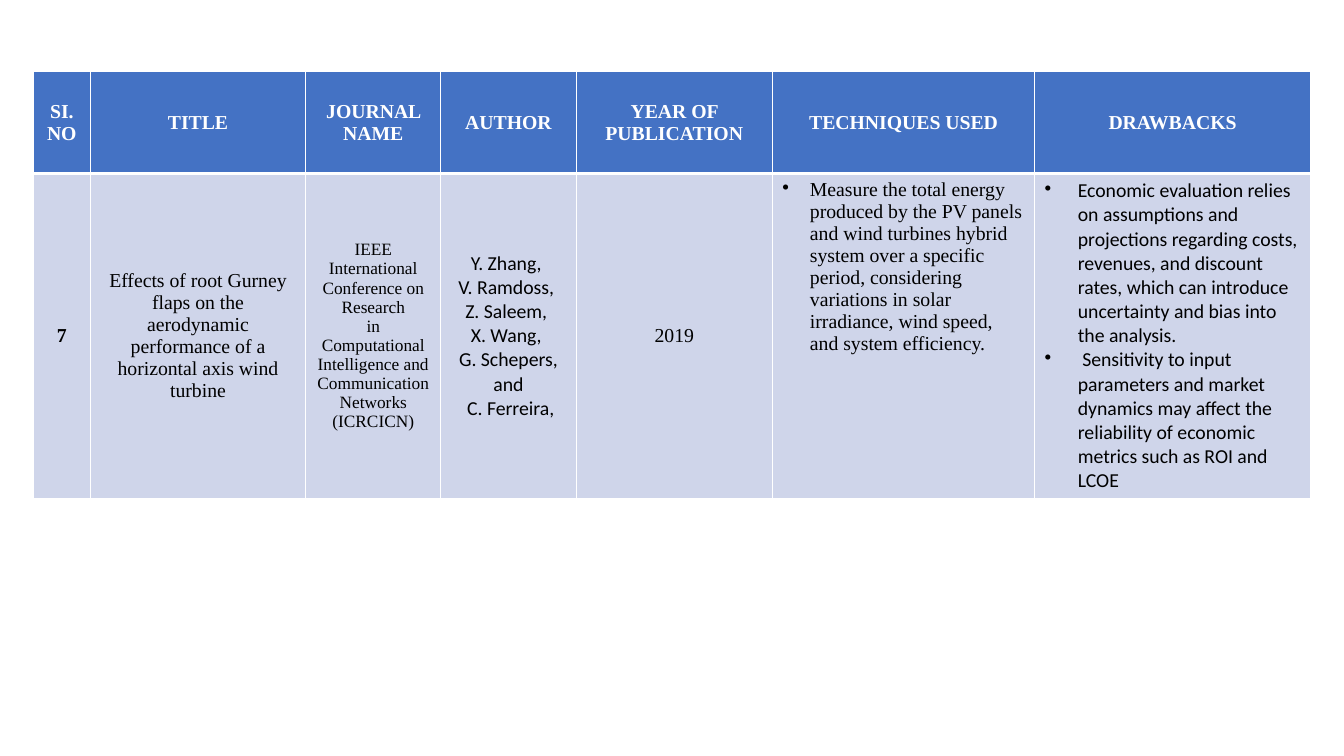
from dataclasses import dataclass

import pptx
import pptx.dml.color
import pptx.enum.text
import pptx.oxml
import pptx.oxml.ns
import pptx.util
from pptx.util import Cm


@dataclass(frozen=True)
class Theme:
    header_fill: str = "4472C4"
    body_fill: str = "CFD5EA"
    border: str = "FFFFFF"
    header_text: str = "FFFFFF"
    body_text: str = "000000"
    serif: str = "Times New Roman"
    sans: str = "Calibri"
    normal: int = 16
    small: int = 14
    thin: int = 1
    thick: int = 3


theme = Theme()


def fill_cell(cell, lines, fill, color, font=theme.serif, size=theme.normal,
              bold=False, indent=None, thick_edge="lnB"):
    """Format one table cell; an indent in cm turns its lines into a bulleted list."""
    cell.margin_left = cell.margin_right = Cm(0.28)
    cell.margin_top = cell.margin_bottom = Cm(0.15)
    anchor = pptx.enum.text.MSO_ANCHOR
    cell.vertical_anchor = anchor.TOP if indent else anchor.MIDDLE

    properties = cell._tc.get_or_add_tcPr()
    for edge in ("lnL", "lnR", "lnT", "lnB"):
        width = pptx.util.Pt(theme.thick if edge == thick_edge else theme.thin)
        properties.append(pptx.oxml.parse_xml(
            f'<a:{edge} {pptx.oxml.ns.nsdecls("a")} w="{width}"><a:solidFill>'
            f'<a:srgbClr val="{theme.border}"/></a:solidFill></a:{edge}>'))
    cell.fill.solid()
    cell.fill.fore_color.rgb = pptx.dml.color.RGBColor.from_string(fill)

    cell.text_frame.text = "\n".join(lines)
    for paragraph in cell.text_frame.paragraphs:
        if indent:
            layout = paragraph._p.get_or_add_pPr()
            layout.set("marL", str(Cm(indent)))
            layout.set("indent", str(-Cm(indent)))
            layout.append(pptx.oxml.parse_xml(
                f'<a:buChar {pptx.oxml.ns.nsdecls("a")} char="•"/>'))
        else:
            paragraph.alignment = pptx.enum.text.PP_ALIGN.CENTER
        for run in paragraph.runs:
            run.font.name = font
            run.font.size = pptx.util.Pt(size)
            run.font.bold = bold
            run.font.color.rgb = pptx.dml.color.RGBColor.from_string(color)


# Heading, column width in cm, lines of the entry, formatting of the entry
columns = [
    ("SI.NO", 1.63, ["7"], {"bold": True}),
    ("TITLE", 6.15,
     ["Effects of root Gurney flaps on the aerodynamic performance of a "
      "horizontal axis wind turbine"], {}),
    ("JOURNAL NAME", 3.86,
     ["IEEE International Conference on Research",
      "in Computational Intelligence and Communication Networks (ICRCICN)"],
     {"size": theme.small}),
    ("AUTHOR", 3.86,
     ["Y. Zhang, ", "V. Ramdoss, ", "Z. Saleem, ", "X. Wang, ",
      "G. Schepers, and", " C. Ferreira,"], {"font": theme.sans}),
    ("YEAR OF PUBLICATION", 5.61, ["2019"], {}),
    ("TECHNIQUES USED", 7.49,
     ["Measure the total energy produced by the PV panels and wind turbines "
      "hybrid system over a specific period, considering variations in solar "
      "irradiance, wind speed, and system efficiency."], {"indent": 0.79}),
    ("DRAWBACKS", 7.87,
     ["Economic evaluation relies on assumptions and projections regarding "
      "costs, revenues, and discount rates, which can introduce uncertainty "
      "and bias into the analysis.",
      " Sensitivity to input parameters and market dynamics may affect the "
      "reliability of economic metrics such as ROI and LCOE"],
     {"font": theme.sans, "indent": 0.95}),
]
header_height, entry_height = 2.92, 9.1

presentation = pptx.Presentation()
presentation.slide_width = Cm(38.38)
presentation.slide_height = Cm(21.59)
slide = presentation.slides.add_slide(presentation.slide_layouts[6])

survey = slide.shapes.add_table(
    2, len(columns), Cm(0.95), Cm(2.04),
    Cm(sum(width for _, width, _, _ in columns)),
    Cm(header_height + entry_height)).table
survey.horz_banding = False
survey.rows[0].height = Cm(header_height)
survey.rows[1].height = Cm(entry_height)

for index, (heading, width, entry, formatting) in enumerate(columns):
    survey.columns[index].width = Cm(width)
    fill_cell(survey.cell(0, index), [heading], theme.header_fill,
              theme.header_text, bold=True)
    fill_cell(survey.cell(1, index), entry, theme.body_fill,
              theme.body_text, thick_edge="lnT", **formatting)

presentation.save("out.pptx")
